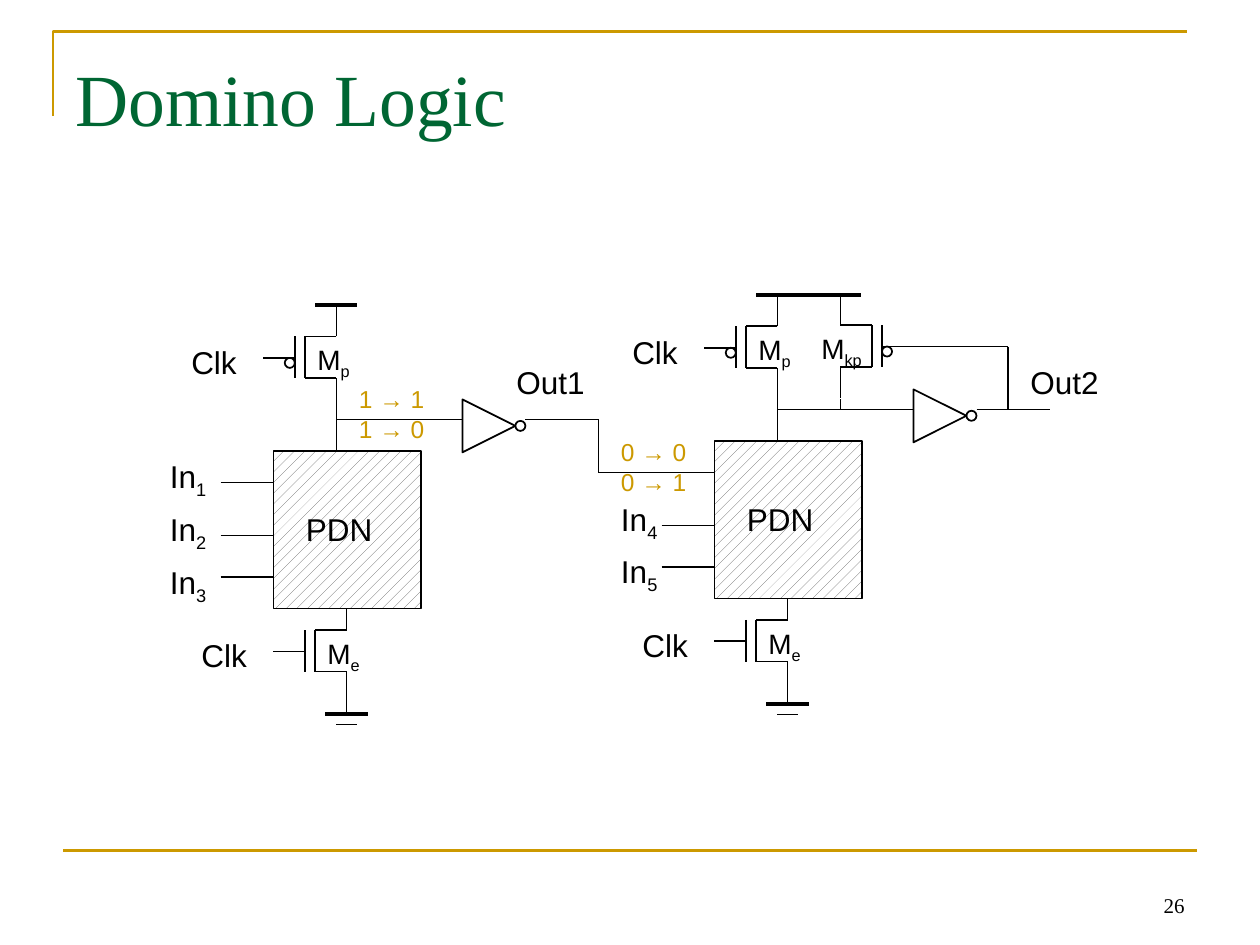
"""Builds the Domino Logic slide: two cascaded dynamic gates with inverters."""
from lxml import etree
from pptx import Presentation
from pptx.dml.color import RGBColor
from pptx.enum.dml import MSO_PATTERN
from pptx.enum.shapes import MSO_CONNECTOR, MSO_SHAPE
from pptx.enum.text import MSO_ANCHOR, PP_ALIGN
from pptx.oxml.ns import qn
from pptx.util import Inches, Pt

COLORS = {"ink": "000000", "gold": "CC9900", "title": "006633",
          "hatch": "5F5F5F", "paper": "FFFFFF"}


def rgb(name):
    return RGBColor.from_string(COLORS[name])


def wire(shapes, start, end, width=1, color="ink"):
    line = shapes.add_connector(MSO_CONNECTOR.STRAIGHT,
                                *map(Inches, (*start, *end)))
    line.line.color.rgb = rgb(color)
    line.line.width = Pt(width)
    etree.SubElement(line._element.spPr, qn("a:effectLst"))


def wires(shapes, *points):
    for start, end in zip(points, points[1:]):
        wire(shapes, start, end)


def outline(shapes, kind, x, y, w, h, rotation=0):
    shape = shapes.add_shape(kind, *map(Inches, (x, y, w, h)))
    shape.rotation = rotation
    shape.shadow.inherit = False
    shape.fill.background()
    shape.line.color.rgb = rgb("ink")
    shape.line.width = Pt(1)
    return shape


def bubble(shapes, x, y):
    outline(shapes, MSO_SHAPE.OVAL, x, y, 0.08, 0.08)


def label(shapes, text, x, y, w, h=0.4, size=18, sub="", color="ink",
          font="Arial", wrap=False):
    box = shapes.add_textbox(*map(Inches, (x, y, w, h)))
    frame = box.text_frame
    frame.word_wrap = wrap
    frame.text = text
    if sub:
        subscript = frame.paragraphs[0].add_run()
        subscript.text = sub
        subscript.font._element.set("baseline", "-25000")
    for paragraph in frame.paragraphs:
        for run in paragraph.runs:
            run.font.size = Pt(size)
            run.font.name = font
            run.font.color.rgb = rgb(color)
    return frame


def transistor(slide, x, y, side=1, pmos=False):
    """Draws a MOSFET whose channel leads lie on x, its gate on the left if side is 1."""
    shapes = slide.shapes.add_group_shape().shapes
    channel, plate, gate = (x - side * d for d in (0.25, 0.33, 0.58))
    wires(shapes, (x, y - 0.25), (x, y), (channel, y), (channel, y + 0.33),
          (x, y + 0.33), (x, y + 0.58))
    wire(shapes, (plate, y), (plate, y + 0.33))
    wire(shapes, (gate, y + 0.17), (plate, y + 0.17))
    if pmos:
        bubble(shapes, plate - 0.08 if side > 0 else plate, y + 0.17)


def inverter(slide, x, y):
    shapes = slide.shapes.add_group_shape().shapes
    outline(shapes, MSO_SHAPE.ISOSCELES_TRIANGLE, x, y, 0.42, 0.42, 90)
    bubble(shapes, x + 0.42, y + 0.17)


def ground(slide, x, y):
    shapes = slide.shapes.add_group_shape().shapes
    wire(shapes, (x, y - 0.25), (x, y))
    wire(shapes, (x - 0.17, y), (x + 0.17, y), 2.25)
    wire(shapes, (x - 0.08, y + 0.08), (x + 0.08, y + 0.08))


def stage(slide, x, y, rail_width, inverter_x):
    """Draws one dynamic gate whose pull-down network has its corner at x, y."""
    shapes = slide.shapes
    transistor(slide, x + 0.5, y - 0.91, pmos=True)
    transistor(slide, x + 0.58, y + 1.42)
    ground(slide, x + 0.58, y + 2.09)
    wire(shapes, (x + 0.33, y - 1.16), (x + 0.33 + rail_width, y - 1.16), 2.25)

    network = outline(shapes, MSO_SHAPE.RECTANGLE, x, y, 1.17, 1.25)
    network.fill.patterned()
    network.fill.pattern = MSO_PATTERN.PERCENT_20
    network.fill.fore_color.rgb = rgb("hatch")
    network.fill.back_color.rgb = rgb("paper")

    wire(shapes, (x + 0.5, y - 0.41), (x + 0.5, y))
    wire(shapes, (x + 0.5, y - 0.25), (inverter_x, y - 0.25))
    inverter(slide, inverter_x, y - 0.41)
    for drop in (0.25, 0.67, 1):
        wire(shapes, (x - 0.42, y + drop), (x, y + drop))

    label(shapes, "PDN", x + 0.16, y + 0.42, 0.73)
    label(shapes, "M", x + 0.33, y + 1.42, 0.47, 0.37, 16, "e")
    label(shapes, "M", x + 0.25, y - 0.91, 0.47, 0.37, 16, "p")
    label(shapes, "Clk", x - 0.67, y + 1.42, 0.57)
    label(shapes, "Clk", x - 0.75, y - 0.91, 0.57)


def keeper(slide):
    """Draws the keeper transistor and its feedback from the second output."""
    transistor(slide, 6.67, 2.58, side=-1, pmos=True)
    wire(slide.shapes, (6.67, 3.17), (6.67, 3.25))
    wires(slide.shapes, (7.17, 2.75), (8, 2.75), (8, 3.25))
    label(slide.shapes, "M", 6.42, 2.58, 0.55, 0.37, 16, "kp")


def page_frame(slide):
    shapes = slide.shapes
    builder = shapes.build_freeform(Inches(0.42), Inches(0.92))
    builder.add_line_segments([(Inches(0.42), Inches(0.25)),
                               (Inches(9.42), Inches(0.25))], close=False)
    corner = builder.convert_to_shape()
    corner.shadow.inherit = False
    corner.fill.background()
    corner.line.color.rgb = rgb("gold")
    corner.line.width = Pt(1.5)
    wire(shapes, (0.5, 6.75), (9.5, 6.75), 1.5, "gold")

    title = label(shapes, "Domino Logic", 0.5, 0.3, 9, 1.25, 42,
                  color="title", font="Times New Roman", wrap=True)
    title.margin_top = Inches(0.12)
    number = label(shapes, "26", 7.17, 6.83, 2.33, 0.5, 12,
                   font="Times New Roman", wrap=True)
    number.vertical_anchor = MSO_ANCHOR.BOTTOM
    number.paragraphs[0].alignment = PP_ALIGN.RIGHT


def main():
    prs = Presentation()
    prs.slide_width, prs.slide_height = Inches(10), Inches(7.5)
    slide = prs.slides.add_slide(prs.slide_layouts[6])
    shapes = slide.shapes

    page_frame(slide)
    stage(slide, 2.17, 3.58, 0.33, 3.67)
    stage(slide, 5.67, 3.5, 0.83, 7.25)
    keeper(slide)
    wires(shapes, (4.17, 3.33), (4.75, 3.33), (4.75, 3.75), (5.25, 3.75))
    wire(shapes, (7.75, 3.25), (8.33, 3.25))

    for sub, x, y in (("1", 1.25, 3.58), ("2", 1.25, 4), ("3", 1.25, 4.42),
                      ("4", 4.83, 3.92), ("5", 4.83, 4.33)):
        label(shapes, "In", x, y, 0.51, sub=sub)
    for text, x in (("Out1", 4), ("Out2", 8.08)):
        label(shapes, text, x, 2.83, 0.75)
    for text, x, y in (("1 → 1\n1 → 0", 2.75, 3), ("0 → 0\n0 → 1", 4.83, 3.42)):
        label(shapes, text, x, y, 0.72, 0.57, 14, color="gold")

    prs.save("out.pptx")


if __name__ == "__main__":
    main()
